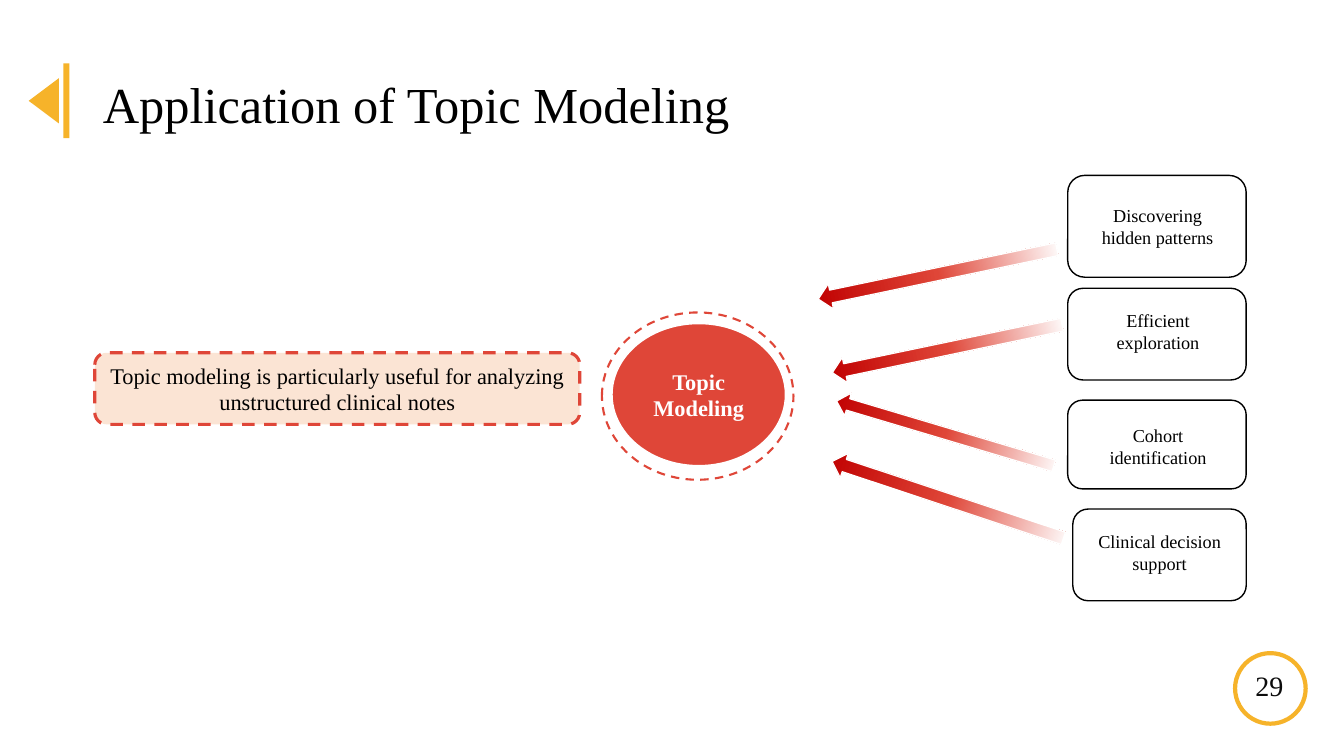
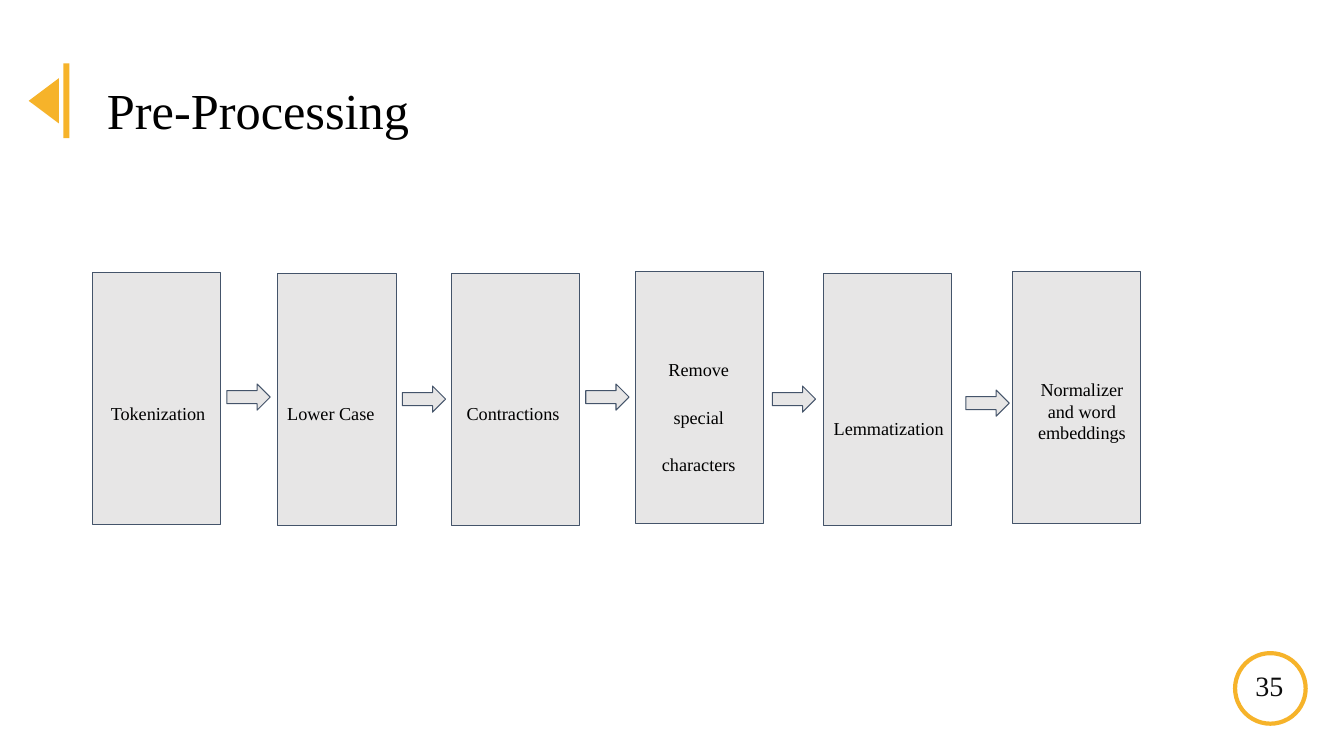
from lxml import etree
from pptx import Presentation
from pptx.dml.color import RGBColor
from pptx.enum.dml import MSO_LINE
from pptx.enum.shapes import MSO_SHAPE as SHAPE
from pptx.enum.text import MSO_ANCHOR as ANCHOR, MSO_AUTO_SIZE, PP_ALIGN as ALIGN
from pptx.oxml import parse_xml
from pptx.util import Inches, Pt

BLACK = RGBColor(0x00, 0x00, 0x00)
INK = RGBColor(0x0C, 0x0C, 0x0C)
WHITE = RGBColor(0xFF, 0xFF, 0xFF)
AMBER = RGBColor(0xF6, 0xB3, 0x2A)
RED = RGBColor(0xDF, 0x46, 0x38)
DARK_RED = RGBColor(0xC0, 0x00, 0x00)
PEACH = RGBColor(0xFB, 0xE4, 0xD4)
GREY = RGBColor(0xE7, 0xE6, 0xE6)
SLATE = RGBColor(0x44, 0x54, 0x6A)

FONT = "Times New Roman"
DRAWING_NS = "http://schemas.openxmlformats.org/drawingml/2006/main"


def write(tf, text, size=13, color=BLACK, bold=False, align=ALIGN.CENTER,
          anchor=ANCHOR.TOP, inset=0.1, spacing=None):
    """Put one formatted paragraph in a text frame."""
    tf.word_wrap = True
    tf.auto_size = MSO_AUTO_SIZE.NONE
    tf.vertical_anchor = anchor
    tf.margin_left = tf.margin_right = Inches(0.1)
    tf.margin_top = tf.margin_bottom = Inches(inset)
    p = tf.paragraphs[0]
    p.alignment = align
    if spacing:
        p.line_spacing = spacing
    r = p.add_run()
    r.text = text
    r.font.name, r.font.size, r.font.bold = FONT, Pt(size), bold
    r.font.color.rgb = color


class Deck:
    """Holds the style and the current slide."""

    def __init__(self):
        self.prs = Presentation()
        self.prs.slide_width, self.prs.slide_height = Inches(13.33), Inches(7.5)
        self.slide = None

    def new_slide(self, title, number, title_at, inset):
        self.slide = self.prs.slides.add_slide(self.prs.slide_layouts[5])
        # Title
        sp = self.slide.shapes.title
        sp.left, sp.top, sp.width, sp.height = map(Inches, title_at)
        write(sp.text_frame, title, size=36, align=ALIGN.LEFT, inset=inset)
        # Marker beside the title
        self.shape(SHAPE.RECTANGLE, (0.63, 0.63, 0.06, 0.74), fill=AMBER)
        marker = self.shape(SHAPE.ISOSCELES_TRIANGLE, (0.21, 0.85, 0.45, 0.3), fill=AMBER)
        marker.rotation = 270
        # Page number
        self.shape(SHAPE.OVAL, (12.25, 6.48, 0.7, 0.7), fill=WHITE, line=AMBER, weight=3)
        self.label((12.31, 6.58, 0.56, 0.44), str(number), size=20, color=INK,
                   anchor=ANCHOR.MIDDLE, inset=0.05)

    def shape(self, kind, at, fill=None, line=None, weight=1, dash=False):
        sp = self.slide.shapes.add_shape(kind, *map(Inches, at))
        sp.shadow.inherit = False
        if fill is None:
            sp.fill.background()
        else:
            sp.fill.solid()
            sp.fill.fore_color.rgb = fill
        if line is None:
            sp.line.fill.background()
        else:
            sp.line.color.rgb = line
            sp.line.width = Pt(weight)
            if dash:
                sp.line.dash_style = MSO_LINE.DASH
        return sp

    def label(self, at, text, **fmt):
        sp = self.slide.shapes.add_textbox(*map(Inches, at))
        write(sp.text_frame, text, **fmt)

    def fading_arrow(self, at, rotation):
        """Left-pointing arrow that fades from its head to its tail."""
        sp = self.shape(SHAPE.RIGHT_ARROW, at, fill=RED, line=WHITE)
        sp.rotation = rotation
        props = sp._element.spPr
        props.find(f"{{{DRAWING_NS}}}xfrm").set("flipH", "1")
        stops = "".join(
            f'<a:gs pos="{pos * 1000}"><a:srgbClr val="{color}"/></a:gs>'
            for pos, color in ((0, DARK_RED), (50, RED), (100, WHITE)))
        gradient = parse_xml(
            f'<a:gradFill xmlns:a="{DRAWING_NS}" rotWithShape="1">'
            f'<a:gsLst>{stops}</a:gsLst><a:lin ang="10800000" scaled="0"/></a:gradFill>')
        solid = props.find(etree.QName(DRAWING_NS, "solidFill").text)
        props.replace(solid, gradient)


def application_slide(deck):
    deck.new_slide("Application of Topic Modeling", 29, (0.92, 0.68, 9.71, 0.71), 0.05)

    # Statement on the left
    sp = deck.shape(SHAPE.ROUNDED_RECTANGLE, (0.94, 3.5, 4.81, 0.71),
                    fill=PEACH, line=RED, weight=2.25, dash=True)
    write(sp.text_frame,
          "Topic modeling is particularly useful for analyzing unstructured clinical notes",
          size=16, anchor=ANCHOR.MIDDLE, inset=0.05)

    # Hub with its dashed ring
    deck.shape(SHAPE.OVAL, (5.97, 3.1, 1.9, 1.66), line=RED, weight=1.5, dash=True)
    sp = deck.shape(SHAPE.OVAL, (6.07, 3.21, 1.72, 1.41), fill=RED, line=WHITE)
    write(sp.text_frame, "Topic Modeling", size=16, color=WHITE, bold=True,
          anchor=ANCHOR.MIDDLE, inset=0.05)

    # Applications: box, label place, text, arrow, arrow rotation
    applications = (
        ((10.59, 1.74, 1.77, 1.01), (10.77, 1.93, 1.42, 0.79),
         "Discovering hidden patterns", (8.09, 2.59, 2.42, 0.26), 348.2),
        ((10.59, 2.86, 1.77, 0.91), (10.83, 2.97, 1.31, 0.6),
         "Efficient exploration", (8.23, 3.33, 2.33, 0.26), 348.2),
        ((10.59, 3.97, 1.77, 0.88), (10.76, 4.11, 1.45, 0.6),
         "Cohort identification", (8.25, 4.18, 2.25, 0.24), 16.6),
        ((10.64, 5.05, 1.72, 0.91), (10.79, 5.16, 1.42, 0.71),
         "Clinical decision support", (8.19, 4.83, 2.42, 0.26), 18.4),
    )
    for box, place, text, arrow, rotation in applications:
        deck.shape(SHAPE.ROUNDED_RECTANGLE, box, fill=WHITE, line=BLACK)
        deck.fading_arrow(arrow, rotation)
        deck.label(place, text)


def preprocessing_slide(deck):
    deck.new_slide("Pre-Processing", 35, (0.96, 0.68, 4.35, 0.59), 0.1)

    # Stages: box left, top and width, label place, text, alignment, line spacing
    stages = (
        (0.92, 2.7, 1.27, (1, 3.64, 1.18, 0.44), "Tokenization", ALIGN.LEFT, 2.18),
        (2.75, 2.71, 1.18, (2.75, 3.64, 1.18, 0.44), "Lower Case", ALIGN.LEFT, 2.18),
        (4.48, 2.71, 1.27, (4.53, 3.64, 1.18, 0.44), "Contractions", ALIGN.LEFT, 2.18),
        (6.3, 2.69, 1.27, (6.4, 3.2, 1.06, 0.44), "Remove special characters",
         ALIGN.CENTER, 2.18),
        (8.17, 2.71, 1.27, (8.17, 3.78, 1.42, 0.36), "Lemmatization", ALIGN.LEFT, 2.18),
        (10.04, 2.69, 1.27, (10.14, 3.65, 1.18, 0.59), "Normalizer and word embeddings",
         ALIGN.CENTER, None),
    )
    outline = dict(fill=GREY, line=SLATE, weight=0.75)
    for left, top, width, place, text, align, spacing in stages:
        deck.shape(SHAPE.RECTANGLE, (left, top, width, 2.5), **outline)
        deck.label(place, text, align=align, spacing=spacing)

    # Arrows between the stages
    for left, top in ((2.25, 3.81), (3.99, 3.83), (5.81, 3.81), (7.66, 3.83), (9.58, 3.87)):
        deck.shape(SHAPE.RIGHT_ARROW, (left, top, 0.43, 0.26), **outline)


def main():
    deck = Deck()
    application_slide(deck)
    preprocessing_slide(deck)
    deck.prs.save("out.pptx")


if __name__ == "__main__":
    main()
